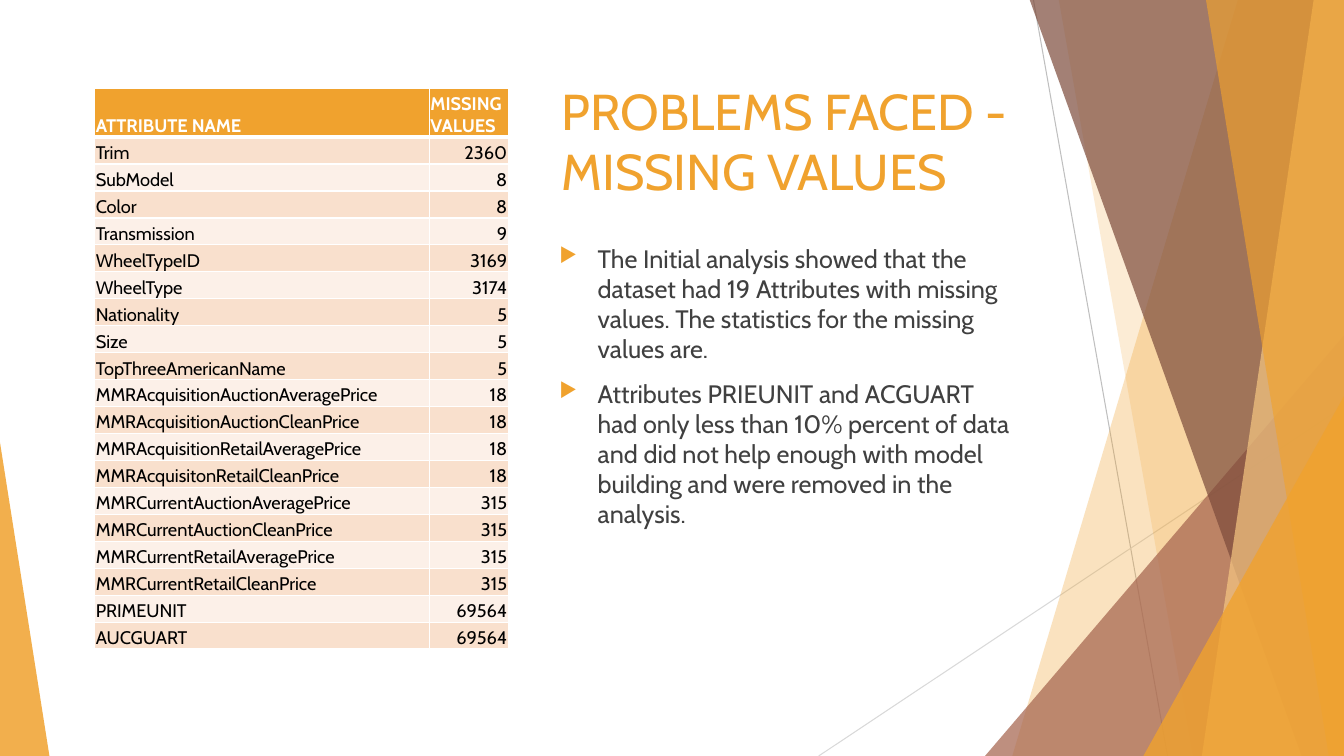
from dataclasses import dataclass

from lxml import etree
from pptx import Presentation
from pptx.dml.color import RGBColor
from pptx.enum.shapes import MSO_CONNECTOR, MSO_SHAPE
from pptx.enum.text import MSO_ANCHOR, MSO_AUTO_SIZE, PP_ALIGN
from pptx.oxml.ns import qn
from pptx.util import Inches, Pt

STRAIGHT = MSO_CONNECTOR.STRAIGHT
TRIANGLE = MSO_SHAPE.ISOSCELES_TRIANGLE
LEFT, RIGHT = PP_ALIGN.LEFT, PP_ALIGN.RIGHT
TOP, MIDDLE, BOTTOM = MSO_ANCHOR.TOP, MSO_ANCHOR.MIDDLE, MSO_ANCHOR.BOTTOM
NO_AUTOFIT = MSO_AUTO_SIZE.NONE

WIDTH, HEIGHT = 13.33, 7.5
TITLE = "PROBLEMS FACED - MISSING VALUES"
BULLETS = [
    "The Initial analysis showed that the dataset had 19 Attributes with missing values. "
    "The statistics for the missing values are.",
    "Attributes PRIEUNIT and ACGUART had only less than 10% percent of data and did not "
    "help enough with model building and were removed in the analysis.",
]
MISSING_VALUES = [
    ("ATTRIBUTE NAME", "MISSING VALUES"),
    ("Trim", 2360),
    ("SubModel", 8),
    ("Color", 8),
    ("Transmission", 9),
    ("WheelTypeID", 3169),
    ("WheelType", 3174),
    ("Nationality", 5),
    ("Size", 5),
    ("TopThreeAmericanName", 5),
    ("MMRAcquisitionAuctionAveragePrice", 18),
    ("MMRAcquisitionAuctionCleanPrice", 18),
    ("MMRAcquisitionRetailAveragePrice", 18),
    ("MMRAcquisitonRetailCleanPrice", 18),
    ("MMRCurrentAuctionAveragePrice", 315),
    ("MMRCurrentAuctionCleanPrice", 315),
    ("MMRCurrentRetailAveragePrice", 315),
    ("MMRCurrentRetailCleanPrice", 315),
    ("PRIMEUNIT", 69564),
    ("AUCGUART", 69564),
]


@dataclass(frozen=True)
class Theme:
    font: str = "Cabin"
    title_size: int = 36
    body_size: int = 18
    table_size: int = 13
    accent: str = "F0A22E"
    accent_light: str = "F6C782"
    rust: str = "A5644E"
    brown: str = "7C4B3B"
    body_text: str = "404040"
    table_text: str = "000000"
    white: str = "FFFFFF"
    row_dark: str = "F9E0CD"
    row_light: str = "FCF0E8"
    line_dark: str = "BFBFBF"
    line_light: str = "D9D9D9"


def rgb(color):
    return RGBColor.from_string(color)


def set_all(target, values):
    for name, value in values.items():
        setattr(target, name, value)


class SlideBuilder:
    def __init__(self, slide, theme):
        self.slide, self.shapes, self.theme = slide, slide.shapes, theme

    def add_text(self, p, text, size, color, bold=False):
        r = p.add_run()
        r.text = text
        set_all(r.font, {"name": self.theme.font, "size": Pt(size), "bold": bold})
        r.font.color.rgb = rgb(color)

    def paint(self, sp, color, opacity):
        """Give a flat, partly transparent fill without outline or shadow."""
        sp.shadow.inherit = False
        sp.line.fill.background()
        sp.fill.solid()
        sp.fill.fore_color.rgb = rgb(color)
        clr = sp._element.spPr.find(qn("a:solidFill"))[0]
        etree.SubElement(clr, qn("a:alpha"), val=str(opacity * 1000))

    def line(self, start, end, color):
        cx = self.shapes.add_connector(STRAIGHT, *map(Inches, start + end))
        cx.line.color.rgb = rgb(color)
        cx.line.width = Pt(0.75)
        etree.SubElement(cx._element.spPr, qn("a:effectLst"))

    def band(self, top_x, bottom_x, color, opacity):
        """Fill from a slanted left edge to the right side of the slide."""
        corners = [(top_x, -0.01), (WIDTH, -0.01), (WIDTH, HEIGHT), (bottom_x, HEIGHT)]
        points = [(Inches(x), Inches(y)) for x, y in corners]
        builder = self.shapes.build_freeform(*points[0])
        builder.add_line_segments(points[1:], close=True)
        self.paint(builder.convert_to_shape(), color, opacity)

    def corner(self, left, top, width, apex, color, opacity):
        """Add a right triangle that stands on the bottom of the slide."""
        sp = self.shapes.add_shape(TRIANGLE, *map(Inches, (left, top, width, HEIGHT - top)))
        sp.adjustments[0] = apex
        self.paint(sp, color, opacity)

    def title(self, text, left, top, width, height):
        sp = self.shapes.title
        set_all(sp, {"left": Inches(left), "top": Inches(top),
                     "width": Inches(width), "height": Inches(height)})
        tf = sp.text_frame
        set_all(tf, {"word_wrap": True, "auto_size": NO_AUTOFIT, "vertical_anchor": MIDDLE})
        p = tf.paragraphs[0]
        p.alignment = LEFT
        self.add_text(p, text, self.theme.title_size, self.theme.accent)

    def bullets(self, items, left, top, width, height):
        tf = self.shapes.add_textbox(*map(Inches, (left, top, width, height))).text_frame
        set_all(tf, {"word_wrap": True, "auto_size": NO_AUTOFIT, "vertical_anchor": TOP})
        for i, item in enumerate(items):
            p = tf.add_paragraph() if i else tf.paragraphs[0]
            p.space_before = Pt(10)
            pPr = p._p.get_or_add_pPr()
            pPr.set("marL", str(Inches(0.38)))
            pPr.set("indent", str(-Inches(0.38)))
            clr = etree.SubElement(pPr, qn("a:buClr"))
            etree.SubElement(clr, qn("a:srgbClr"), val=self.theme.accent)
            etree.SubElement(pPr, qn("a:buSzPct"), val="80000")
            etree.SubElement(pPr, qn("a:buChar"), char="▶")
            self.add_text(p, item, self.theme.body_size, self.theme.body_text)

    def borders(self, cell, widths):
        """Draw white cell borders; widths maps a side (L, R, T, B) to points."""
        tcPr = cell._tc.get_or_add_tcPr()
        for i, (side, width) in enumerate(widths.items()):
            ln = etree.Element(qn(f"a:ln{side}"), w=str(Pt(width)))
            fill = etree.SubElement(ln, qn("a:solidFill"))
            etree.SubElement(fill, qn("a:srgbClr"), val=self.theme.white)
            tcPr.insert(i, ln)

    def table(self, rows, left, top, col_widths, header_height, height):
        t = self.theme
        frame = self.shapes.add_table(len(rows), len(col_widths), Inches(left), Inches(top),
                                      Inches(sum(col_widths)), Inches(height))
        table = frame.table
        for column, width in zip(table.columns, col_widths):
            column.width = Inches(width)
        row_height = (height - header_height) / (len(rows) - 1)
        for i, values in enumerate(rows):
            header = i == 0
            table.rows[i].height = Inches(header_height if header else row_height)
            fill = t.accent if header else (t.row_light, t.row_dark)[i % 2]
            sides = {"L": 1, "R": 1, "T": 1, "B": 3} if header else {"L": 1, "R": 1, "B": 1}
            for j, value in enumerate(values):
                cell = table.cell(i, j)
                set_all(cell, {"margin_left": Inches(0.01), "margin_right": Inches(0.01),
                               "margin_top": Inches(0.01), "margin_bottom": 0,
                               "vertical_anchor": BOTTOM})
                cell.fill.solid()
                cell.fill.fore_color.rgb = rgb(fill)
                self.borders(cell, sides)
                p = cell.text_frame.paragraphs[0]
                p.alignment = RIGHT if j and not header else LEFT
                self.add_text(p, str(value), t.table_size,
                              t.white if header else t.table_text, header)


def main():
    prs = Presentation()
    prs.slide_width, prs.slide_height = Inches(WIDTH), Inches(HEIGHT)
    theme = Theme()
    s = SlideBuilder(prs.slides.add_slide(prs.slide_layouts[5]), theme)

    s.line((10.25, 0), (11.58, HEIGHT), theme.line_dark)
    s.line((WIDTH, 4.03), (8.12, HEIGHT), theme.line_light)
    s.band(12.28, 10.04, theme.accent, 30)
    s.band(10.5, 11.83, theme.accent, 20)
    s.corner(9.77, 3.33, 3.56, 1, theme.rust, 72)
    s.band(10.21, 12.91, theme.brown, 70)
    s.band(13.03, 11.92, theme.accent_light, 70)
    s.band(11.96, 13.18, theme.accent, 65)
    s.corner(11.34, 3.93, 1.99, 1, theme.accent, 80)
    s.corner(0, 4.39, 0.49, 0, theme.accent, 85)

    s.title(TITLE, 5.47, 0.67, 4.68, 1.44)
    s.bullets(BULLETS, 5.45, 2.36, 4.69, 4.12)
    s.table(MISSING_VALUES, 0.94, 0.88, (3.32, 0.78), 0.48, 5.56)
    prs.save("out.pptx")


if __name__ == "__main__":
    main()
